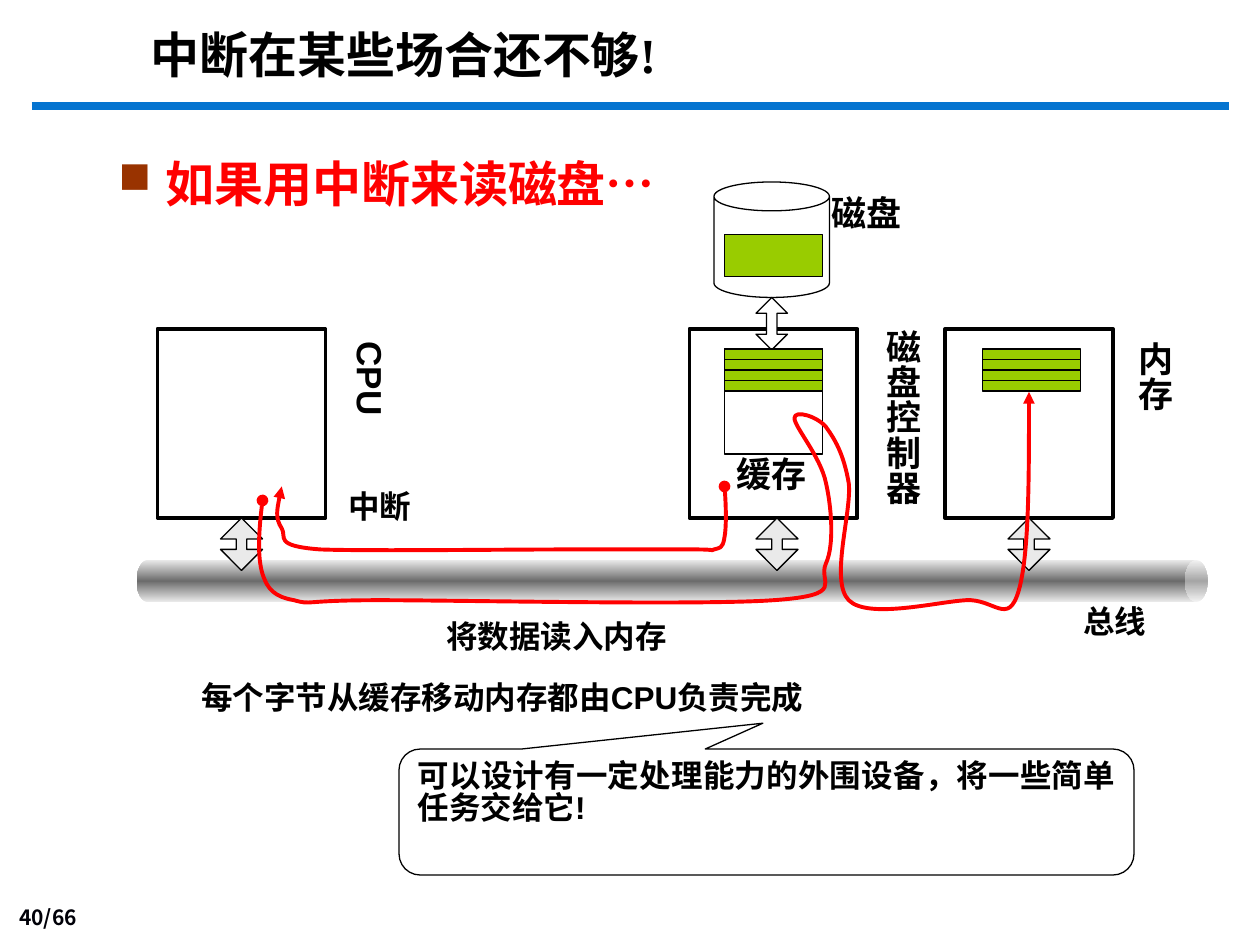
from copy import deepcopy
from dataclasses import dataclass
from typing import Optional

from lxml.etree import SubElement
from pptx import Presentation
from pptx.dml.color import RGBColor
from pptx.enum.shapes import MSO_CONNECTOR as Link, MSO_SHAPE as Kind
from pptx.enum.text import MSO_ANCHOR as Anchor, PP_ALIGN as Align
from pptx.oxml.ns import qn
from pptx.util import Pt

BLACK = RGBColor(0, 0, 0)
WHITE = RGBColor(255, 255, 255)
RED = RGBColor(255, 0, 0)
BLUE = RGBColor(0x05, 0x74, 0xD0)
GREEN = RGBColor(0x99, 0xCC, 0)
PALE = RGBColor(0xEA, 0xEA, 0xEA)
DARK = RGBColor(0x6C, 0x6C, 0x6C)
INK = RGBColor(0, 0, 8)
CJK = "Noto Sans CJK JP"
TIGHT = 0.86  # line spacing that suits the CJK font
UNIT = 127  # EMU in a hundredth of a point


@dataclass
class Label:
    text: str
    x: float
    y: float
    w: float
    h: float
    size: float = 18
    color: RGBColor = BLACK
    font: str = "Arial"
    align: Align = Align.LEFT
    anchor: Anchor = Anchor.TOP
    space: float = 1
    margin: float = 0
    bullet: bool = False
    upright: bool = False


@dataclass
class Block:
    kind: Kind
    x: float
    y: float
    w: float
    h: float
    fill: Optional[RGBColor] = WHITE
    line: float = 0.75
    adj: tuple = ()
    turn: float = 0


@dataclass
class Curve:
    """Start point, then rows of two control points and an end point."""
    start: tuple
    bends: list


def write(frame, text: str, size: float, color: RGBColor, font: str,
          align: Align, space: float = 1):
    frame.word_wrap = True
    para = frame.paragraphs[0]
    para.alignment = align
    para.line_spacing = round(space * TIGHT, 2)
    run = para.add_run()
    run.text = text
    run.font.size = Pt(size)
    run.font.bold = True
    run.font.name = font
    run.font.color.rgb = color
    SubElement(run.font._element, qn("a:ea"), typeface=CJK)
    return para


def add_label(slide, item: Label) -> None:
    box = slide.shapes.add_textbox(*map(Pt, (item.x, item.y, item.w, item.h)))
    frame = box.text_frame
    frame.vertical_anchor = item.anchor
    if item.upright:
        frame._txBody.bodyPr.set("vert", "eaVert")
    para = write(frame, item.text, item.size, item.color, item.font,
                 item.align, item.space)
    props = para._p.get_or_add_pPr()
    if item.margin:
        props.set("marL", str(Pt(item.margin)))
        props.set("indent", str(-Pt(item.margin) if item.bullet else 0))
    if item.bullet:
        tint = SubElement(props, qn("a:buClr"))
        SubElement(tint, qn("a:srgbClr"), val="993300")
        SubElement(props, qn("a:buSzPct"), val="90000")
        SubElement(props, qn("a:buChar"), char="■")


def add_block(slide, item: Block):
    shape = slide.shapes.add_shape(
        item.kind, *map(Pt, (item.x, item.y, item.w, item.h)))
    shape.shadow.inherit = False
    shape.rotation = item.turn
    for i, value in enumerate(item.adj):
        shape.adjustments[i] = value
    if item.fill is not None:
        shape.fill.solid()
        shape.fill.fore_color.rgb = item.fill
    if item.line:
        shape.line.color.rgb = BLACK
        shape.line.width = Pt(item.line)
    else:
        shape.line.fill.background()
    return shape


def add_bus(slide) -> None:
    shape = add_block(slide, Block(Kind.CAN, 372, 26, 24, 612, None, 0,
                                   (0.541,), 90))
    shape.fill.gradient()
    shape.fill.gradient_angle = 0
    stops = shape._element.spPr.find(".//" + qn("a:gsLst"))
    stops.insert(1, deepcopy(stops[0]))
    for stop, spot, color in zip(shape.fill.gradient_stops, (0, 0.5, 1),
                                 (PALE, DARK, PALE)):
        stop.position = spot
        stop.color.rgb = color


def add_curve(slide, item: Curve) -> None:
    """Draw a red path with a dot at its start and an arrow at its end."""
    pen = slide.shapes.build_freeform(
        *(v * 100 for v in item.start), scale=UNIT)
    pen.add_line_segments(
        [(x * 100, y * 100) for *_, x, y in item.bends], close=False)
    shape = pen.convert_to_shape()
    shape.shadow.inherit = False
    shape.fill.background()
    shape.line.color.rgb = RED
    shape.line.width = Pt(2.25)
    left, top = shape.left // UNIT, shape.top // UNIT
    lines = list(shape._element.iter(qn("a:lnTo")))
    for node, bend in zip(lines, item.bends):
        node.clear()
        cubic = SubElement(node.getparent(), qn("a:cubicBezTo"))
        node.getparent().replace(node, cubic)
        for x, y in zip(bend[::2], bend[1::2]):
            SubElement(cubic, qn("a:pt"), x=str(x * 100 - left),
                       y=str(y * 100 - top))
    line = shape.line._get_or_add_ln()
    SubElement(line, qn("a:headEnd"), type="oval")
    SubElement(line, qn("a:tailEnd"), type="triangle")


def add_rule(slide) -> None:
    rule = slide.shapes.add_connector(
        Link.STRAIGHT, Pt(18), Pt(60.5), Pt(702), Pt(60.5))
    rule.line.color.rgb = BLUE
    rule.line.width = Pt(4.5)
    SubElement(rule._element.spPr, qn("a:effectLst"))


LABELS = [
    Label("40/66", 0, 514, 51, 21, 12, INK, CJK, Align.RIGHT, Anchor.BOTTOM),
    Label("中断在某些场合还不够!", 79, 15, 354, 37, 28,
          font="Times New Roman", anchor=Anchor.MIDDLE),
    Label("如果用中断来读磁盘…", 60.5, 80, 636, 68, 28, RED, space=1.3,
          margin=27, bullet=True),
    Label("磁盘", 462, 109.5, 66, 31, 20, align=Align.CENTER),
    Label("缓存", 414, 258.5, 66, 31, 20),
    Label("磁盘控制器", 490, 181.5, 38, 126, 20, upright=True),
    Label("内存", 634, 188, 38, 126, 20, upright=True),
    Label("CPU", 186, 188, 38, 126, 20, upright=True),
    Label("总线", 612, 343.5, 96, 36),
    Label("中断", 192, 278, 102, 36),
    Label("将数据读入内存", 248, 352, 249, 36),
    Label("每个字节从缓存移动内存都由CPU负责完成", 72, 379.5, 576, 47.5,
          space=1.4, margin=36),
]
UNITS = [Block(Kind.RECTANGLE, x, 188, 96, 108, line=2.25)
         for x in (90, 394, 540)]
PARTS = [
    Block(Kind.CAN, 408, 104, 66, 66, adj=(0.25,)),
    Block(Kind.RECTANGLE, 414, 199.5, 56, 60),
    Block(Kind.UP_DOWN_ARROW, 432, 170, 18, 30, adj=(0.5, 0.333)),
    Block(Kind.RECTANGLE, 414, 134, 56, 24, GREEN),
]
PORTS = [Block(Kind.UP_DOWN_ARROW, x, 296, 24, 30, PALE, adj=(0.5, 0.25))
         for x in (126, 432, 576)]
BYTES = [Block(Kind.RECTANGLE, x, 199.5 + 6 * i, 56, 6, GREEN)
         for x in (414, 561.5) for i in range(4)]
SIGNAL = Curve((414, 278), [
    (415, 289, 415, 302, 414, 307), (413, 314, 411, 313, 408, 314),
    (405, 315, 411, 314, 397, 314), (383, 314, 359, 314, 324, 314),
    (288, 314, 210, 315, 183, 314), (156, 312, 164, 307, 161, 302),
    (157, 296, 159, 287, 161, 278)])
DATA = Curve((150, 286), [
    (148, 302, 147, 318, 150, 328), (153, 337, 157, 341, 168, 343),
    (179, 346, 171, 343, 217, 343), (263, 343, 400, 346, 442, 343),
    (485, 340, 467, 333, 472, 322), (477, 311, 475, 289, 472, 276),
    (469, 261, 454, 244, 454, 239), (454, 234, 467, 238, 472, 244),
    (477, 251, 482, 259, 485, 276), (487, 292, 474, 332, 485, 343),
    (496, 354, 535, 344, 552, 343), (568, 342, 576, 358, 582, 338),
    (588, 318, 588, 271, 588, 224)])


def add_note(slide) -> None:
    note = add_block(slide, Block(Kind.ROUNDED_RECTANGULAR_CALLOUT, 228, 428,
                                  420, 72, adj=(0.005, 0.705, 0.167),
                                  turn=180))
    frame = note.text_frame
    frame.vertical_anchor = Anchor.TOP
    frame._txBody.bodyPr.set("rot", "10800000")
    write(frame, "可以设计有一定处理能力的外围设备，将一些简单任务交给它!",
          18, BLACK, "Arial", Align.JUSTIFY)


def main() -> None:
    deck = Presentation()
    deck.slide_width, deck.slide_height = Pt(720), Pt(540)
    slide = deck.slides.add_slide(deck.slide_layouts[6])
    add_rule(slide)
    add_bus(slide)
    for item in UNITS + PARTS + PORTS + BYTES:
        add_block(slide, item)
    for item in LABELS:
        add_label(slide, item)
    for item in (SIGNAL, DATA):
        add_curve(slide, item)
    add_note(slide)
    deck.save("out.pptx")


if __name__ == "__main__":
    main()
